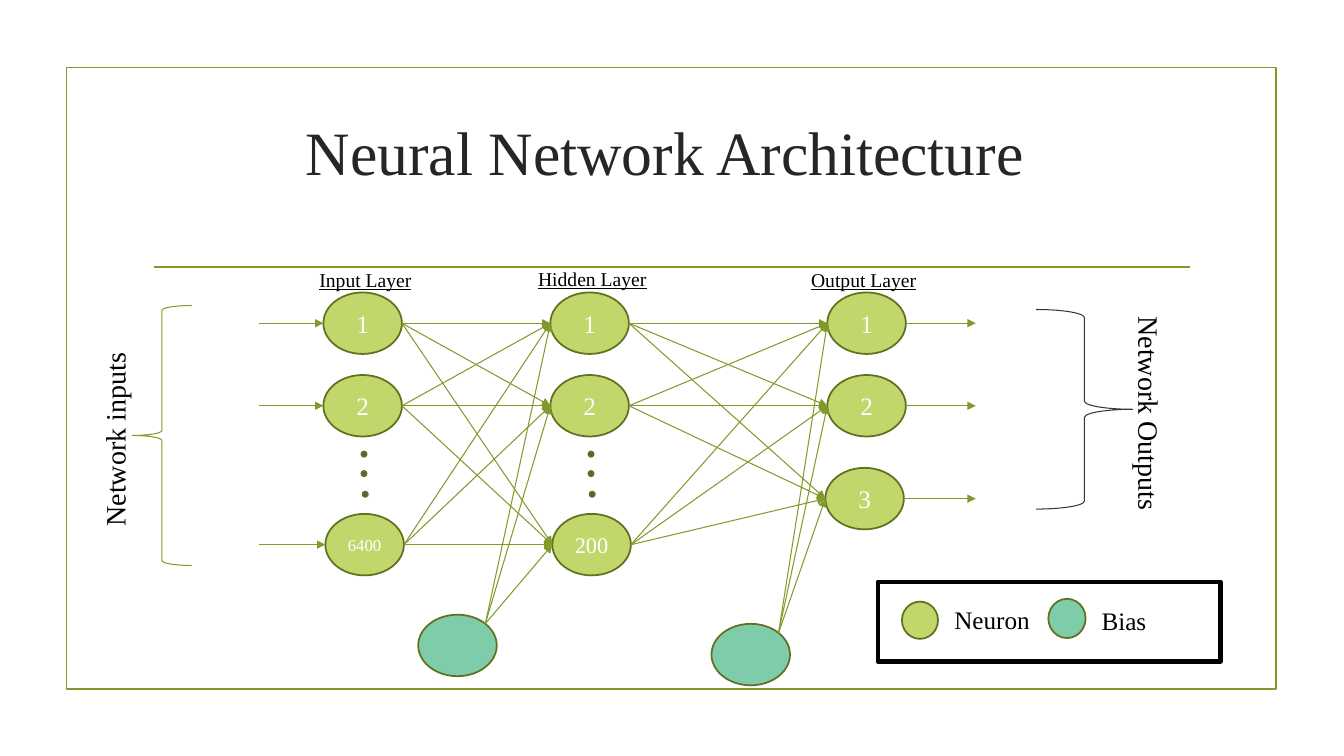
from itertools import product
from math import sqrt

from pptx import Presentation
from pptx import util as u
from pptx.dml.color import RGBColor
from pptx.enum import shapes, text
from pptx.oxml.ns import qn
from lxml import etree

Cm, Pt = u.Cm, u.Pt
SHAPE = shapes.MSO_SHAPE


class Theme:
    font = "Times New Roman"
    green, olive, dark = "83992A", "61711F", "363636"
    neuron, bias, dot = "C1D66B", "7FCCAB", "585858"
    black, white, heading = "000000", "FFFFFF", "262626"
    title, side, body, number, label, small = 44, 20, 18, 16, 14, 12
    thin, medium, thick = 0.75, 1.25, 3


class Diagram:
    """Draws on one slide; all lengths are in centimetres."""

    def __init__(self, slide, theme):
        self.slide, self.theme = slide, theme

    def set_words(self, shape, words, size, color, **formats):
        frame = shape.text_frame
        frame.text = words
        paragraph = frame.paragraphs[0]
        paragraph.alignment = formats.pop("alignment", text.PP_ALIGN.CENTER)
        paragraph.font.color.rgb = RGBColor.from_string(color)
        formats = {"name": self.theme.font, "size": Pt(size), **formats}
        for name, value in formats.items():
            setattr(paragraph.font, name, value)

    def title(self, words, box):
        shape = self.slide.shapes.title
        for name, value in zip(("left", "top", "width", "height"), box):
            setattr(shape, name, Cm(value))
        shape.text_frame.vertical_anchor = text.MSO_ANCHOR.MIDDLE
        self.set_words(shape, words, self.theme.title, self.theme.heading)

    def shape(self, kind, box, line, weight, fill=None):
        shape = self.slide.shapes.add_shape(kind, *map(Cm, box))
        shape.shadow.inherit = False
        shape.line.color.rgb = RGBColor.from_string(line)
        shape.line.width = Pt(weight)
        if fill:
            shape.fill.solid()
            shape.fill.fore_color.rgb = RGBColor.from_string(fill)
        else:
            shape.fill.background()
        return shape

    def circle(self, box, fill):
        return self.shape(SHAPE.OVAL, box, self.theme.olive, self.theme.medium, fill)

    def neuron(self, box, words, size):
        shape = self.circle(box, self.theme.neuron)
        frame = shape.text_frame
        frame.margin_left = frame.margin_right = 0
        frame.vertical_anchor = text.MSO_ANCHOR.MIDDLE
        self.set_words(shape, words, size, self.theme.white)

    def text(self, words, box, size, rotation=0, **formats):
        shape = self.slide.shapes.add_textbox(*map(Cm, box))
        shape.rotation = rotation
        shape.text_frame.word_wrap = True
        shape.text_frame.auto_size = text.MSO_AUTO_SIZE.SHAPE_TO_FIT_TEXT
        self.set_words(shape, words, size, self.theme.black, **formats)

    def line(self, start, end, weight, arrow=False):
        connector = self.slide.shapes.add_connector(
            shapes.MSO_CONNECTOR.STRAIGHT, *map(Cm, (*start, *end)))
        connector.line.color.rgb = RGBColor.from_string(self.theme.green)
        connector.line.width = Pt(weight)
        if arrow:
            outline = connector.get_or_add_ln()
            etree.SubElement(outline, qn("a:tailEnd"), type="triangle")
        etree.SubElement(connector._element.spPr, qn("a:effectLst"))

    def arrows(self, starts, ends):
        for start, end in product(starts, ends):
            self.line(start, end, self.theme.thin, arrow=True)


WIDTH, HEIGHT = 1.98, 1.55
TOP, SECOND, THIRD, LAST = 7.37, 9.45, 11.79, 12.95
INPUT_START, OUTPUT_END = 6.53, 24.59


def left_side(neurons):
    return [(x, y + HEIGHT / 2) for x, y in neurons]


def right_side(neurons):
    return [(x + WIDTH, y + HEIGHT / 2) for x, y in neurons]


def upper_right(x, y):
    """Point on a neuron's outline at 45 degrees."""
    reach = 1 / sqrt(2)
    return x + WIDTH / 2 * (1 + reach), y + HEIGHT / 2 * (1 - reach)


def draw_network(diagram):
    theme = diagram.theme
    body = theme.body
    # left edge, shift and top of last neuron, its number and size, heading place
    layers = (
        ("Input Layer", 8.15, 0.05, LAST, "6400", theme.small, (7.8, 6.63)),
        ("Hidden Layer", 13.87, 0.05, LAST, "200", theme.number, (13.31, 6.6)),
        ("Output Layer", 20.85, -0.05, THIRD, "3", body, (20.19, 6.63)),
    )
    columns = []
    for heading, x, shift, last, number, size, place in layers:
        column = [(x, TOP), (x, SECOND), (x + shift, last)]
        for spot, words, points in zip(column, ("1", "2", number), (body, body, size)):
            diagram.neuron((*spot, WIDTH, HEIGHT), words, points)
        diagram.text(heading, (*place, 3.28, 0.86), theme.label,
                     alignment=text.PP_ALIGN.LEFT, underline=True)
        columns.append(column)
    inputs, hidden, outputs = columns

    for column in (inputs, hidden):
        for shift, y in ((0, 11.38), (0, 11.87), (0.03, 12.39)):
            diagram.circle((column[0][0] + 0.96 + shift, y, 0.13, 0.13), theme.dot)

    diagram.arrows(right_side(inputs), left_side(hidden))
    diagram.arrows(right_side(hidden), left_side(outputs))
    for spot, targets in (((10.54, 15.49), hidden), ((17.93, 15.72), outputs)):
        diagram.circle((*spot, WIDTH, HEIGHT), theme.bias)
        diagram.arrows([upper_right(*spot)], left_side(targets))
    for x, y in left_side(inputs):
        diagram.arrows([(INPUT_START, y)], [(x, y)])
    for x, y in right_side(outputs):
        diagram.arrows([(x, y)], [(OUTPUT_END, y)])


def draw_sides(diagram):
    theme = diagram.theme
    diagram.shape(SHAPE.LEFT_BRACE, (3.33, 7.7, 1.5, 6.55), theme.green, theme.thin)
    diagram.text("Network inputs", (-0.13, 10.52, 6.05, 1.12), theme.side, 270)
    diagram.shape(SHAPE.RIGHT_BRACE, (26.11, 7.8, 2.44, 5.03), theme.dark, theme.thin)
    diagram.text("Network Outputs", (26.21, 9.86, 5.49, 1.12), theme.side, 90)


def draw_legend(diagram):
    theme = diagram.theme
    diagram.shape(SHAPE.RECTANGLE, (22.12, 14.66, 8.64, 2.01), theme.black, theme.thick)
    entries = (
        ("Neuron", theme.neuron, (22.73, 15.16, 0.91, 0.94), (23.8, 15.11)),
        ("Bias", theme.bias, (26.42, 15.09, 0.94, 0.99), (27.51, 15.14)),
    )
    for words, fill, box, place in entries:
        diagram.circle(box, fill)
        diagram.text(words, (*place, 2.87, 1.02), theme.body,
                     alignment=text.PP_ALIGN.LEFT)


def main():
    presentation = Presentation()
    presentation.slide_width, presentation.slide_height = Cm(33.87), Cm(19.05)
    slide = presentation.slides.add_slide(presentation.slide_layouts[5])
    theme = Theme()
    diagram = Diagram(slide, theme)
    diagram.shape(SHAPE.RECTANGLE, (1.68, 1.7, 30.48, 15.67), theme.green, theme.medium)
    diagram.line((3.89, 6.73), (30, 6.73), theme.medium)
    diagram.title("Neural Network Architecture", (3.43, 1.98, 26.67, 3.63))
    draw_network(diagram)
    draw_sides(diagram)
    draw_legend(diagram)
    presentation.save("out.pptx")


if __name__ == "__main__":
    main()
